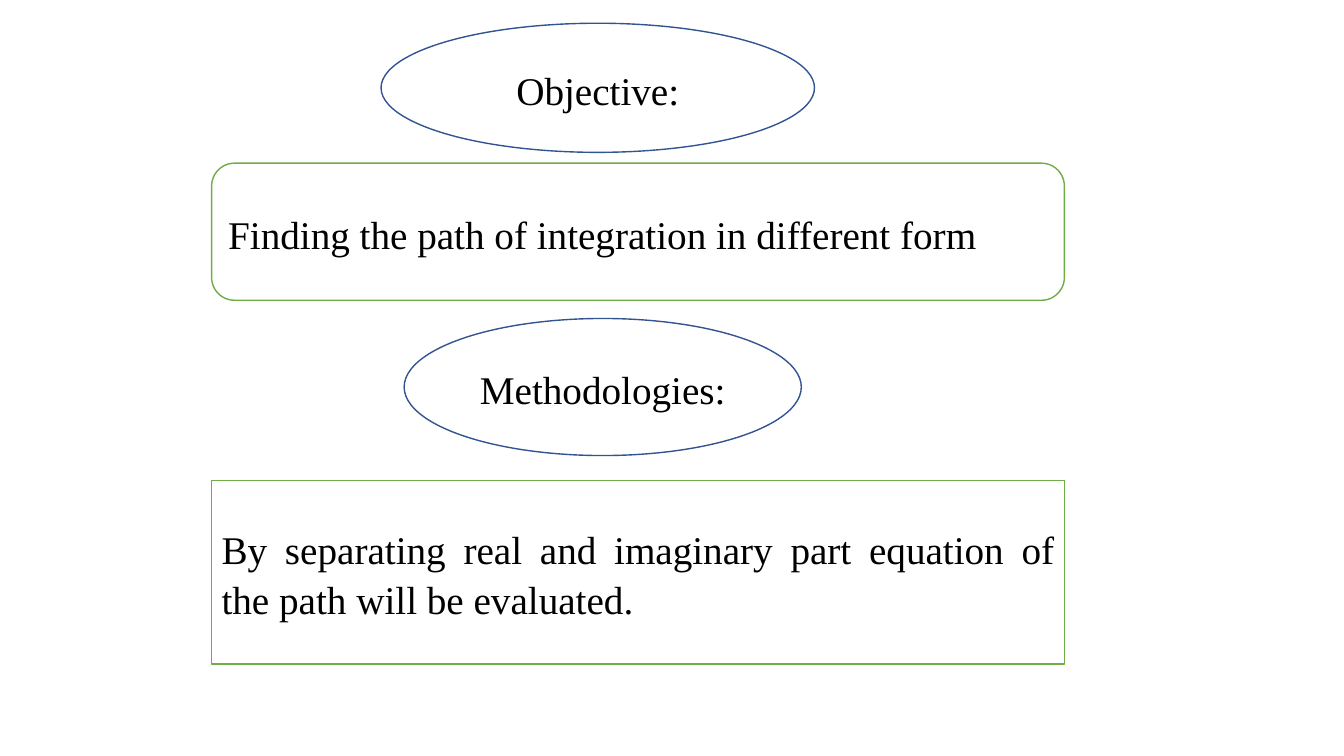
import pptx
import pptx.util
import pptx.dml.color
import pptx.enum.shapes
import pptx.enum.text

Pt = pptx.util.Pt
Shape = pptx.enum.shapes.MSO_SHAPE
Align = pptx.enum.text.PP_ALIGN

BLACK = pptx.dml.color.RGBColor(0x00, 0x00, 0x00)
BLUE = pptx.dml.color.RGBColor(0x32, 0x54, 0x91)
GREEN = pptx.dml.color.RGBColor(0x70, 0xAD, 0x47)
FONT = "Times New Roman"

# heading, (left, top, width, height) of its ellipse,
# statement, outline of its box, (top, height) of that box
SECTIONS = [
    ("Objective:", (272.2, 16.6, 309.6, 92.2),
     "Finding the path of integration in different form",
     Shape.ROUNDED_RECTANGLE, (116.6, 97.9)),
    ("Methodologies:", (288.7, 227.5, 283.7, 97.9),
     "By separating real and imaginary part equation of the path will be evaluated.",
     Shape.RECTANGLE, (343.4, 131)),
]
BOX_LEFT, BOX_WIDTH = 151.2, 609.1


def add_box(page, outline, place, text, color, alignment):
    box = page.shapes.add_shape(outline, *[Pt(length) for length in place])
    box.shadow.inherit = False
    box.fill.background()
    box.line.color.rgb = color
    box.line.width = Pt(1)
    frame = box.text_frame
    frame.text = text
    frame.word_wrap = True
    frame.vertical_anchor = pptx.enum.text.MSO_ANCHOR.MIDDLE
    para = frame.paragraphs[0]
    para.alignment = alignment
    para.line_spacing = 1.07
    font = para.runs[0].font
    font.name = FONT
    font.size = Pt(28)
    font.color.rgb = BLACK


def main():
    deck = pptx.Presentation()
    deck.slide_width, deck.slide_height = Pt(960), Pt(540)
    page = deck.slides.add_slide(deck.slide_layouts[6])
    for heading, ellipse, statement, outline, (top, height) in SECTIONS:
        add_box(page, Shape.OVAL, ellipse, heading, BLUE, Align.CENTER)
        add_box(page, outline, (BOX_LEFT, top, BOX_WIDTH, height),
                statement, GREEN, Align.JUSTIFY)
    deck.save("out.pptx")


if __name__ == "__main__":
    main()
